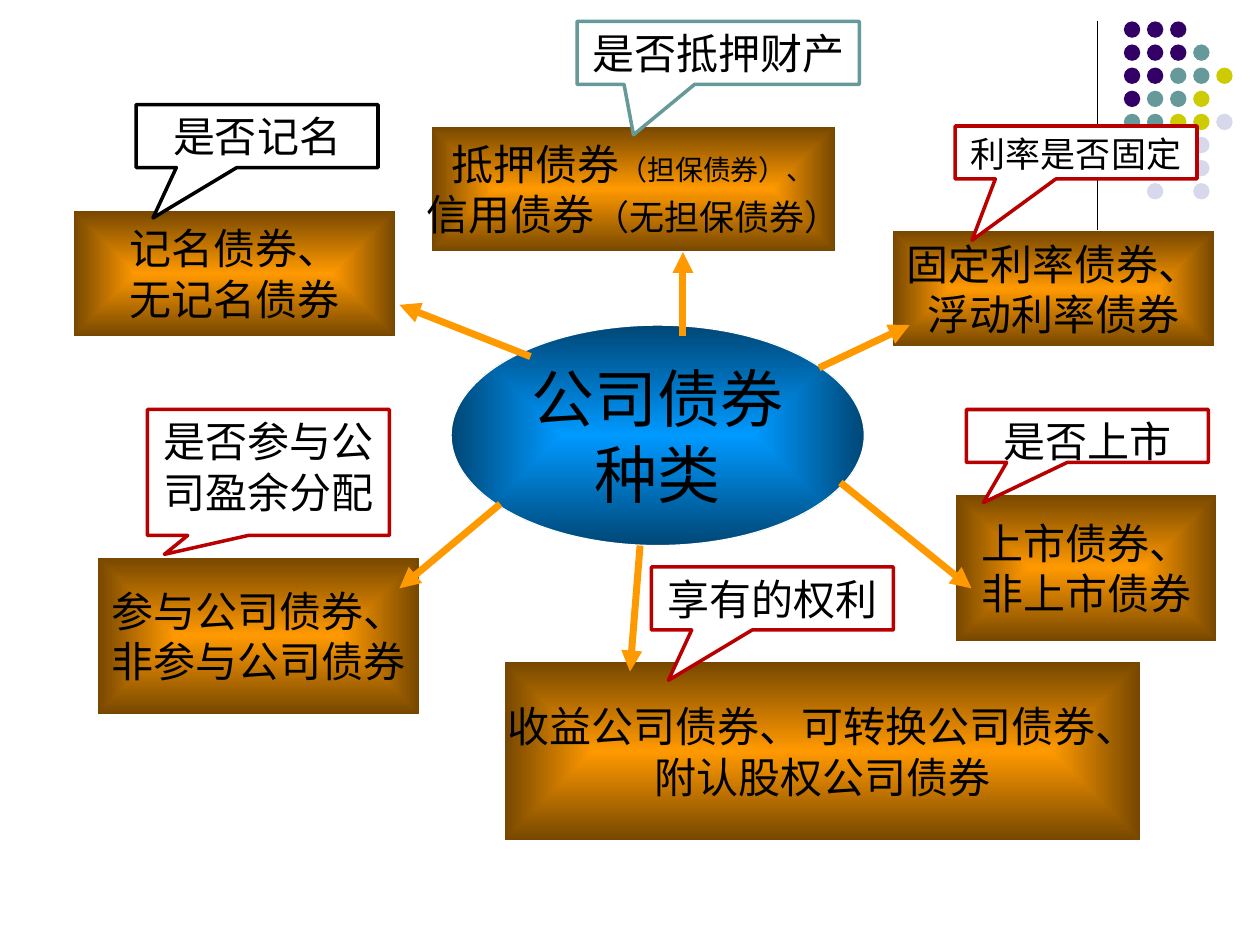
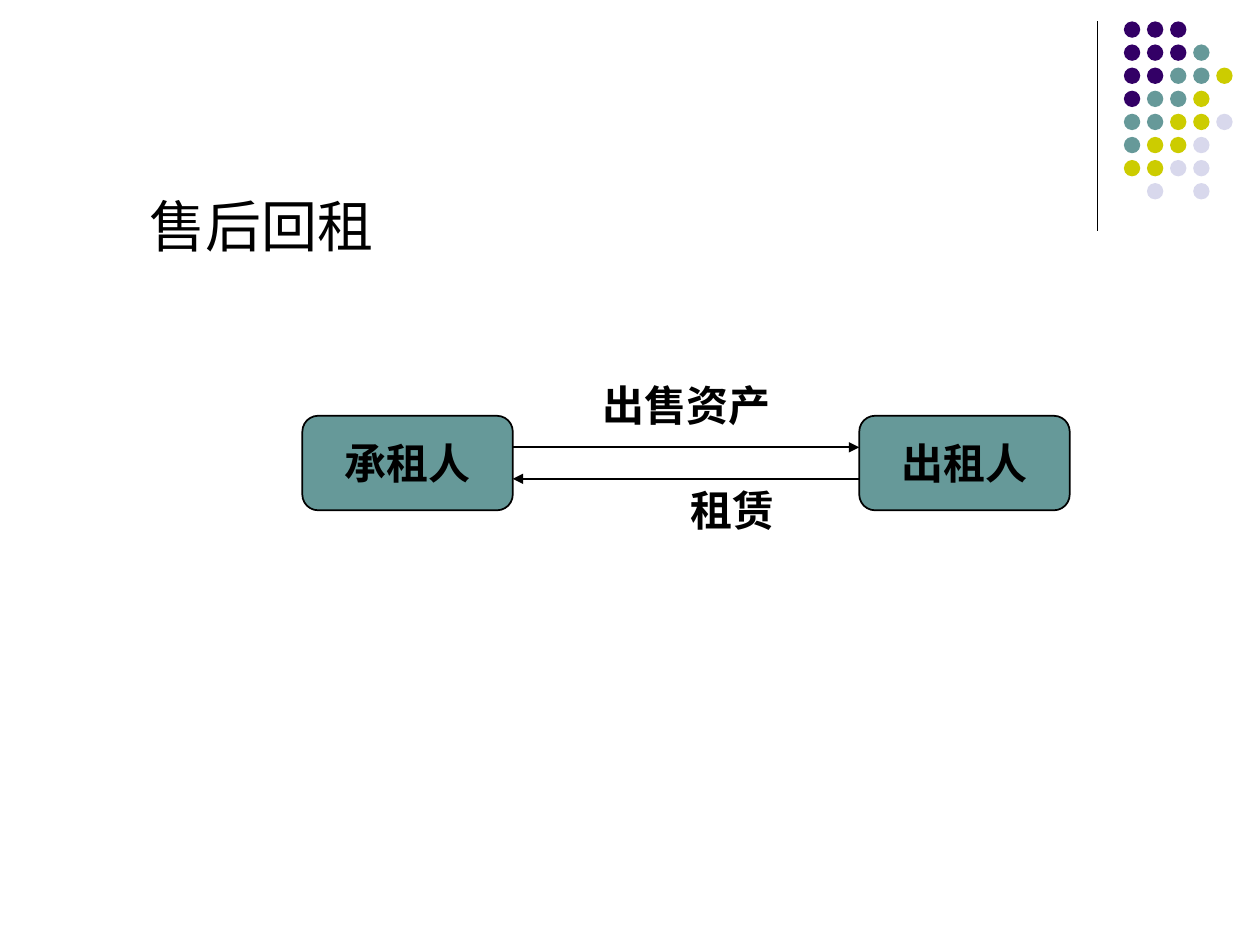
from typing import NamedTuple

import lxml.etree
import pptx
import pptx.dml.color
import pptx.enum.dml
import pptx.enum.lang
import pptx.enum.shapes
import pptx.enum.text
import pptx.oxml.ns
import pptx.util

Inches = pptx.util.Inches
Pt = pptx.util.Pt
RGBColor = pptx.dml.color.RGBColor
Shapes = pptx.enum.shapes.MSO_SHAPE
Anchor = pptx.enum.text.MSO_ANCHOR
qn = pptx.oxml.ns.qn

BLACK = RGBColor(0x00, 0x00, 0x00)
WHITE = RGBColor(0xFF, 0xFF, 0xFF)
PURPLE = RGBColor(0x33, 0x00, 0x66)
TEAL = RGBColor(0x66, 0x99, 0x99)
OLIVE = RGBColor(0xCC, 0xCC, 0x00)
LAVENDER = RGBColor(0xD8, 0xD8, 0xEC)
ORANGE = RGBColor(0xFF, 0x99, 0x00)
BROWN = RGBColor(0x76, 0x47, 0x00)
BLUE = RGBColor(0x00, 0x99, 0xFF)
NAVY = RGBColor(0x00, 0x47, 0x76)
RED = RGBColor(0xB9, 0x00, 0x00)

BODY_FONT = "Times New Roman"
TITLE_FONT = "Arial"

DOT_ROWS = ("PPP", "PPPT", "PPTTY", "PTTY", "TTYYL", "TYYL", "YYLL", " L L")
DOT_COLOURS = {"P": PURPLE, "T": TEAL, "Y": OLIVE, "L": LAVENDER}
DOT_SIZE = Inches(0.13)
DOT_PITCH = Inches(0.55) // 3


class Box(NamedTuple):
    left: float
    top: float
    width: float
    height: float

    def lengths(self) -> list:
        return [Inches(value) for value in self]


class Words(NamedTuple):
    text: str
    size: int = 24


class BondKind(NamedTuple):
    box: Box
    lines: list[list[Words]]


class Criterion(NamedTuple):
    """A callout asking the question that splits bonds into kinds."""
    box: Box
    words: Words
    tip: tuple[float, float]
    outline: RGBColor = RED


class Arrow(NamedTuple):
    start: tuple[float, float]
    end: tuple[float, float]


BOND_KINDS = [
    BondKind(Box(0.58, 1.67, 2.56, 1), [[Words("记名债券、")], [Words("无记名债券")]]),
    BondKind(Box(0.77, 4.42, 2.56, 1.25), [[Words("参与公司债券、")], [Words("非参与公司债券")]]),
    BondKind(Box(4, 5.25, 5.05, 1.42),
             [[Words("收益公司债券、可转换公司债券、")], [Words("附认股权公司债券")]]),
    BondKind(Box(7.58, 3.92, 2.08, 1.17), [[Words("上市债券、")], [Words("非上市债券")]]),
    BondKind(Box(7.08, 1.83, 2.56, 0.92), [[Words("固定利率债券、")], [Words("浮动利率债券")]]),
    BondKind(Box(3.42, 1, 3.21, 1),
             [[Words("抵押债券"), Words("（担保债券）、", 16)],
              [Words("信用债券"), Words("（无担保债券）", 20)]]),
]

CRITERIA = [
    Criterion(Box(1.08, 0.83, 1.92, 0.5), Words("是否记名"), (-0.43, 1.3), BLACK),
    Criterion(Box(1.17, 3.25, 1.92, 1), Words("是否参与公司盈余分配"), (-0.43, 0.65)),
    Criterion(Box(5.17, 4.5, 1.92, 0.5), Words("享有的权利"), (-0.43, 1.3)),
    Criterion(Box(7.67, 3.25, 1.92, 0.42), Words("是否上市"), (-0.43, 1.26)),
    Criterion(Box(4.58, 0.17, 2.24, 0.5), Words("是否抵押财产"), (-0.3, 1.3), TEAL),
    Criterion(Box(7.58, 1, 1.92, 0.42), Words("利率是否固定", 20), (-0.43, 1.66)),
]

KIND_ARROWS = [
    Arrow((5.42, 2.67), (5.42, 2)),
    Arrow((4.21, 2.83), (3.17, 2.42)),
    Arrow((3.97, 4), (3.17, 4.67)),
    Arrow((5.08, 4.33), (5, 5.33)),
    Arrow((6.67, 3.83), (7.71, 4.67)),
    Arrow((6.5, 2.92), (7.22, 2.58)),
]


def write(frame, lines: list[list[Words]], anchor=Anchor.MIDDLE, wrap: bool = False,
          bold: bool = False, font_name: str = BODY_FONT) -> None:
    frame.word_wrap = wrap
    frame.vertical_anchor = anchor
    for index, line in enumerate(lines):
        paragraph = frame.add_paragraph() if index else frame.paragraphs[0]
        paragraph.alignment = pptx.enum.text.PP_ALIGN.CENTER
        for words in line:
            run = paragraph.add_run()
            run.text = words.text
            run.font.size = Pt(words.size)
            run.font.name = font_name
            run.font.bold = bold
            run.font.color.rgb = BLACK
            run.font.language_id = pptx.enum.lang.MSO_LANGUAGE_ID.SIMPLIFIED_CHINESE


def add_outlined(slide, preset, box: Box, outline: RGBColor, width: float):
    shape = slide.shapes.add_shape(preset, *box.lengths())
    shape.shadow.inherit = False
    shape.line.color.rgb = outline
    shape.line.width = Pt(width)
    return shape


def fill_solid(shape, colour: RGBColor) -> None:
    shape.fill.solid()
    shape.fill.fore_color.rgb = colour


def fill_from_centre(shape, centre: RGBColor, edge: RGBColor) -> None:
    shape.fill.gradient()
    for stop, colour, position in zip(shape.fill.gradient_stops, (centre, edge), (0, 1)):
        stop.color.rgb = colour
        stop.position = position
    gradient = shape._element.spPr.find(qn("a:gradFill"))
    gradient.remove(gradient.find(qn("a:lin")))
    spread = lxml.etree.SubElement(gradient, qn("a:path"), {"path": "rect"})
    lxml.etree.SubElement(spread, qn("a:fillToRect"), dict.fromkeys("ltrb", "50000"))


def add_line(slide, line: Arrow, colour: RGBColor, width: float, arrowhead: bool = True) -> None:
    ends = [Inches(value) for value in line.start + line.end]
    connector = slide.shapes.add_connector(pptx.enum.shapes.MSO_CONNECTOR.STRAIGHT, *ends)
    connector.line.color.rgb = colour
    connector.line.width = Pt(width)
    properties = connector._element.spPr
    if arrowhead:
        lxml.etree.SubElement(properties.find(qn("a:ln")), qn("a:tailEnd"), {"type": "triangle"})
    lxml.etree.SubElement(properties, qn("a:effectLst"))


def add_corner_dots(slide) -> None:
    add_line(slide, Arrow((8.71, 0.17), (8.71, 1.83)), BLACK, 0.75, arrowhead=False)
    dots = slide.shapes.add_group_shape()
    for row, codes in enumerate(DOT_ROWS):
        for column, code in enumerate(codes):
            if code == " ":
                continue
            dot = dots.shapes.add_shape(
                Shapes.OVAL, Inches(8.92) + column * DOT_PITCH,
                Inches(0.17) + row * DOT_PITCH, DOT_SIZE, DOT_SIZE)
            dot.shadow.inherit = False
            fill_solid(dot, DOT_COLOURS[code])
            dot.line.fill.background()


def build_bond_kinds(slide) -> None:
    add_corner_dots(slide)
    topic = add_outlined(slide, Shapes.OVAL, Box(3.58, 2.58, 3.28, 1.75), WHITE, 0.75)
    fill_from_centre(topic, BLUE, NAVY)
    write(topic.text_frame, [[Words("公司债券", 36)], [Words("种类", 36)]])

    for kind in BOND_KINDS:
        panel = add_outlined(slide, Shapes.RECTANGLE, kind.box, WHITE, 0.75)
        fill_from_centre(panel, ORANGE, BROWN)
        write(panel.text_frame, kind.lines)

    for criterion in CRITERIA:
        callout = add_outlined(slide, Shapes.RECTANGULAR_CALLOUT, criterion.box,
                               criterion.outline, 2)
        fill_solid(callout, WHITE)
        callout.adjustments[0], callout.adjustments[1] = criterion.tip
        write(callout.text_frame, [[criterion.words]], Anchor.TOP, wrap=True)

    for arrow in KIND_ARROWS:
        add_line(slide, arrow, ORANGE, 4)


def build_leaseback(slide) -> None:
    add_corner_dots(slide)
    title = slide.shapes.title
    title.left, title.top, title.width, title.height = Box(0.9, 1.47, 2.36, 0.64).lengths()
    write(title.text_frame, [[Words("售后回租", 32)]], wrap=True, font_name=TITLE_FONT)

    for left, party in ((2.4, "承租人"), (6.82, "出租人")):
        panel = add_outlined(slide, Shapes.ROUNDED_RECTANGLE, Box(left, 3.3, 1.67, 0.75), BLACK, 1)
        fill_solid(panel, TEAL)
        write(panel.text_frame, [[Words(party)]], bold=True)

    for flow in (Arrow((4.07, 3.55), (6.82, 3.55)), Arrow((6.82, 3.8), (4.07, 3.8))):
        add_line(slide, flow, BLACK, 1)

    for box, label in ((Box(4.57, 2.96, 1.75, 0.5), "出售资产"),
                       (Box(4.98, 3.8, 1.67, 0.5), "租赁")):
        caption = slide.shapes.add_textbox(*box.lengths())
        write(caption.text_frame, [[Words(label)]], Anchor.TOP, wrap=True, bold=True)


def main() -> None:
    deck = pptx.Presentation()
    deck.slide_width, deck.slide_height = Inches(10), Inches(7.5)
    title_only, blank = deck.slide_layouts[5], deck.slide_layouts[6]
    build_bond_kinds(deck.slides.add_slide(blank))
    build_leaseback(deck.slides.add_slide(title_only))
    deck.save("out.pptx")


if __name__ == "__main__":
    main()
